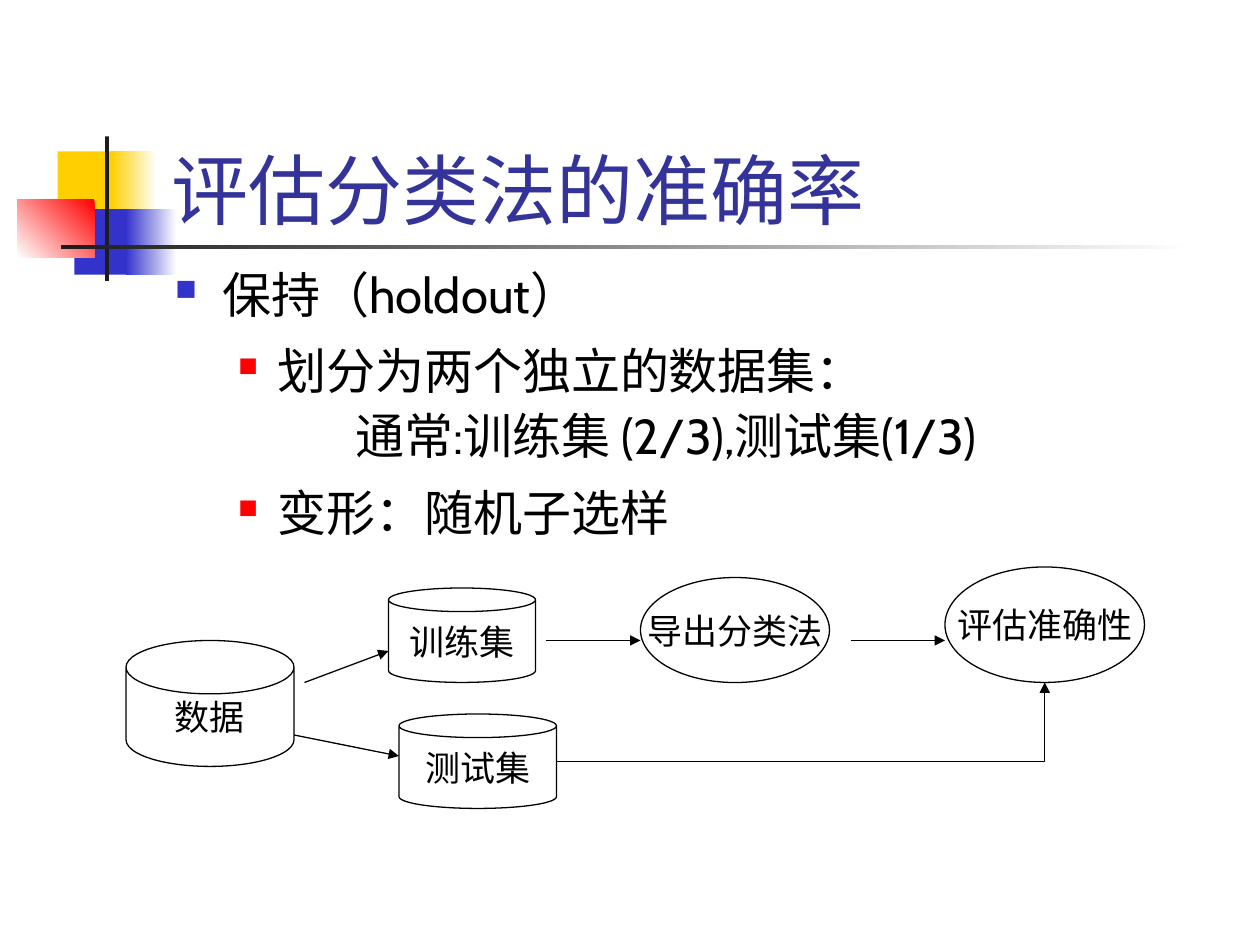
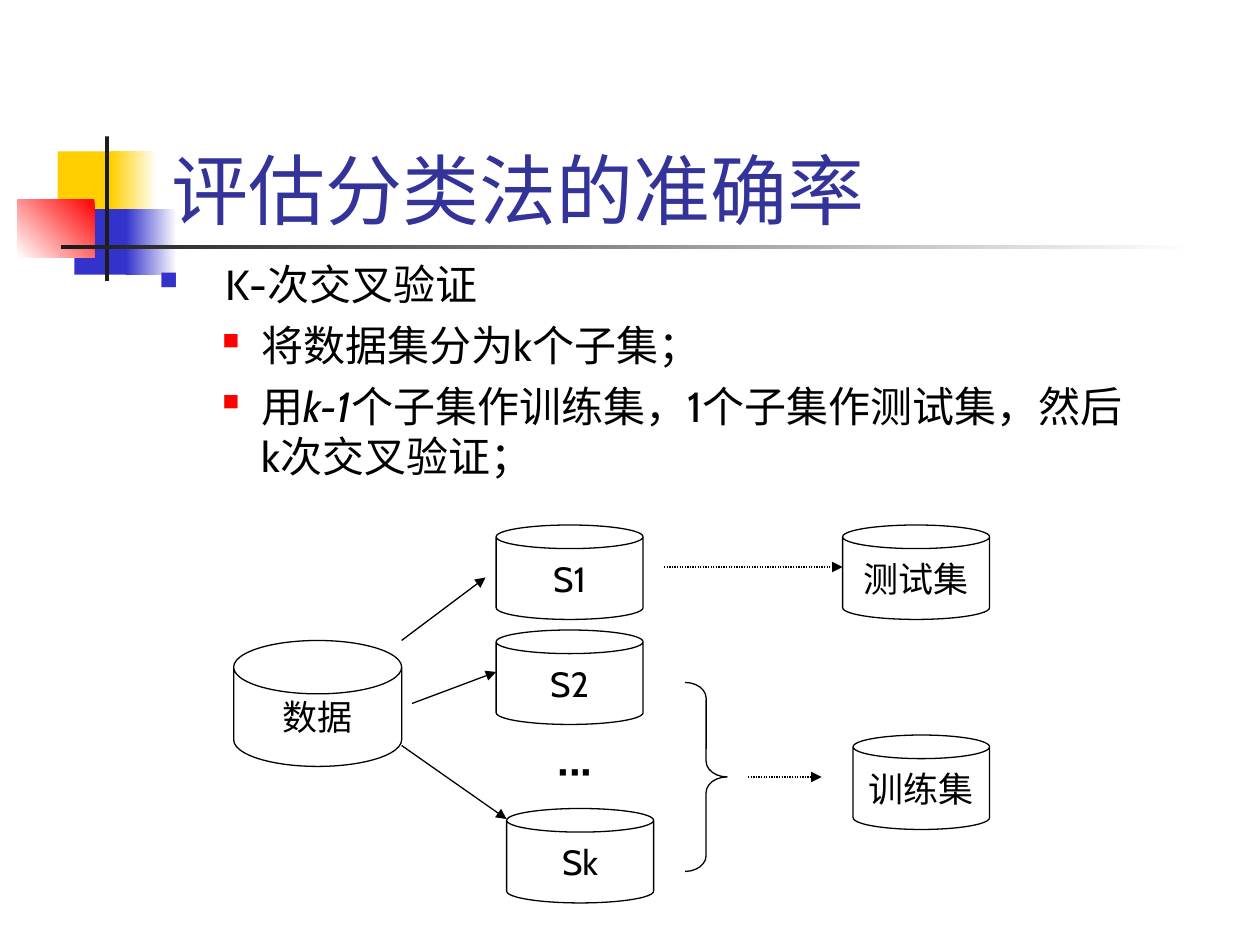
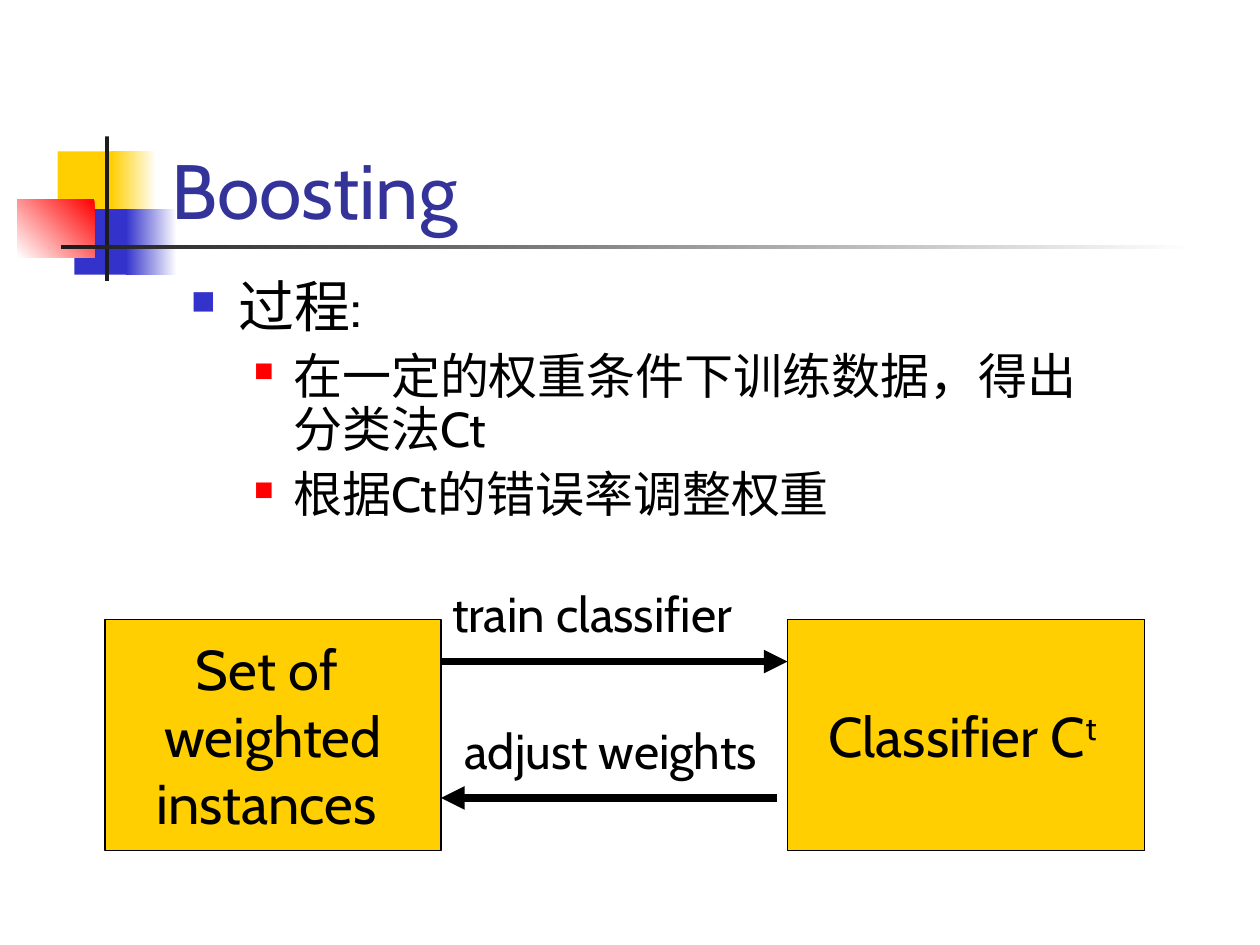
from collections import namedtuple

from lxml.etree import SubElement
from pptx import Presentation
from pptx.dml.color import RGBColor
from pptx.enum.dml import MSO_LINE
from pptx.enum.shapes import MSO_CONNECTOR as LINK, MSO_SHAPE as SHAPE
from pptx.enum.text import MSO_ANCHOR as ANCHOR, PP_ALIGN as ALIGN
from pptx.oxml.ns import qn
from pptx.util import Pt

FONT = "Cabin"
WHITE = RGBColor(0xFF, 0xFF, 0xFF)
BLACK = RGBColor(0x00, 0x00, 0x00)
CHARCOAL = RGBColor(0x1C, 0x1C, 0x1C)
YELLOW = RGBColor(0xFF, 0xCF, 0x01)
BLUE = RGBColor(0x33, 0x33, 0xCC)
RED = RGBColor(0xFF, 0x00, 0x00)
TITLE_BLUE = RGBColor(0x33, 0x33, 0x99)

DECORATION = [
    ((33, 86.5, 34.5, 37.5), YELLOW),
    ((63.5, 86.5, 26, 37.5), (WHITE, YELLOW, 180)),
    ((42.5, 119.5, 33, 37.5), BLUE),
    ((72, 119.5, 29, 37.5), (WHITE, BLUE, 180)),
    ((10, 114, 44, 33), (RED, WHITE, 225)),
    ((60, 78, 2.25, 82.5), CHARCOAL),
    ((34.75, 140.25, 648, 2.25), (WHITE, CHARCOAL, 180)),
]

Level = namedtuple("Level", "depth margin indent bullet_color bullet_percent")
HEAD = Level(0, 27, -27, BLUE, 60)
WIDE_HEAD = Level(0, 38, -38, BLUE, 60)
ITEM = Level(1, 58.5, -22.5, RED, 55)
CONTINUED = Level(1, 103, 0, None, None)


def points(values):
    return [Pt(value) for value in values]


def write_spans(para, content, size, color=BLACK):
    if isinstance(content, str):
        content = [(content, "")]
    for text, style in content:
        span = para.add_run()
        span.text = text
        span.font.name = FONT
        span.font.size = Pt(size)
        span.font.color.rgb = color
        if style == "italic":
            span.font.italic = True
        if style == "superscript":
            span._r.get_or_add_rPr().set("baseline", "30000")


def add_text(page, frame, content, size, color=BLACK, anchor=ANCHOR.TOP):
    box = page.shapes.add_textbox(*points(frame))
    box.text_frame.word_wrap = True
    box.text_frame.vertical_anchor = anchor
    write_spans(box.text_frame.paragraphs[0], content, size, color)


def set_bullet(para, level):
    props = para._p.get_or_add_pPr()
    props.set("marL", str(Pt(level.margin)))
    props.set("indent", str(Pt(level.indent)))
    if level.bullet_color is None:
        SubElement(props, qn("a:buNone"))
        return
    color = SubElement(props, qn("a:buClr"))
    SubElement(color, qn("a:srgbClr"), val=str(level.bullet_color))
    SubElement(props, qn("a:buSzPct"), val=str(level.bullet_percent * 1000))
    SubElement(props, qn("a:buChar"), char="■")


def add_body(page, frame, lines, head_size, item_size, spacing):
    text_frame = page.shapes.add_textbox(*points(frame)).text_frame
    text_frame.word_wrap = True
    for index, (level, content) in enumerate(lines):
        para = text_frame.add_paragraph() if index else text_frame.paragraphs[0]
        size = item_size if level.depth else head_size
        para.level = level.depth
        para.line_spacing = spacing
        para.space_before = Pt(0 if level is CONTINUED else size / 4)
        set_bullet(para, level)
        write_spans(para, content, size)


def add_shape(page, kind, frame, fill=None, line=None, adjust=None):
    shape = page.shapes.add_shape(kind, *points(frame))
    shape.shadow.inherit = False
    if fill is None:
        shape.fill.background()
    elif isinstance(fill, RGBColor):
        shape.fill.solid()
        shape.fill.fore_color.rgb = fill
    else:
        start, end, angle = fill
        shape.fill.gradient()
        shape.fill.gradient_angle = angle
        for stop, color in zip(shape.fill.gradient_stops, (start, end)):
            stop.color.rgb = color
    if line is None:
        shape.line.fill.background()
    else:
        shape.line.color.rgb = line
        shape.line.width = Pt(0.75)
    if adjust is not None:
        shape.adjustments[0] = adjust
    return shape


def add_node(page, kind, frame, lines, size=20, fill=WHITE, line=BLACK, adjust=None):
    text_frame = add_shape(page, kind, frame, fill, line, adjust).text_frame
    text_frame.word_wrap = False
    text_frame.vertical_anchor = ANCHOR.MIDDLE
    for index, content in enumerate(lines):
        para = text_frame.add_paragraph() if index else text_frame.paragraphs[0]
        para.alignment = ALIGN.CENTER
        write_spans(para, content, size)


def add_can(page, frame, label):
    add_node(page, SHAPE.CAN, frame, [label], adjust=0.25)


def add_data_can(page, left):
    add_node(page, SHAPE.CAN, (left, 366, 96, 72), ["数据"], adjust=0.424)


def add_arrow(page, start, end, width=0.75, dotted=False, kind=LINK.STRAIGHT):
    arrow = page.shapes.add_connector(kind, *points((*start, *end)))
    arrow.line.color.rgb = BLACK
    arrow.line.width = Pt(width)
    if dotted:
        arrow.line.dash_style = MSO_LINE.ROUND_DOT
    SubElement(arrow.line._get_or_add_ln(), qn("a:tailEnd"), type="triangle")
    props = arrow._element.spPr
    SubElement(props, qn("a:effectLst"))
    if kind == LINK.ELBOW:
        props.find(qn("a:prstGeom")).set("prst", "bentConnector2")


def add_page(deck, title):
    page = deck.slides.add_slide(deck.slide_layouts[6])
    for frame, fill in DECORATION:
        add_shape(page, SHAPE.RECTANGLE, frame, fill)
    add_text(page, (90.75, 48, 613.5, 90), title, 44, TITLE_BLUE, ANCHOR.BOTTOM)
    return page


def build_holdout(deck):
    page = add_page(deck, "评估分类法的准确率")
    add_body(page, (93, 144, 561, 180), [
        (HEAD, "保持（holdout）"),
        (ITEM, "划分为两个独立的数据集："),
        (CONTINUED, "通常:训练集 (2/3),测试集(1/3)"),
        (ITEM, "变形：随机子选样"),
    ], 28, 28, 1.1)
    add_data_can(page, 72)
    add_can(page, (222, 336, 84, 54), "训练集")
    add_can(page, (228, 408, 90, 54), "测试集")
    add_node(page, SHAPE.OVAL, (366, 330, 108, 60), ["导出分类法"])
    add_node(page, SHAPE.OVAL, (540, 324, 114, 66), ["评估准确性"])
    for start, end in [((174, 390), (222, 372)), ((168, 420), (228, 432)),
                       ((312, 366), (366, 366)), ((486, 366), (540, 366))]:
        add_arrow(page, start, end)
    add_arrow(page, (318, 435), (597, 390), kind=LINK.ELBOW)


def build_cross_validation(deck):
    page = add_page(deck, "评估分类法的准确率")
    add_body(page, (84, 144, 570, 144), [
        (WIDE_HEAD, "K-次交叉验证"),
        (ITEM, "将数据集分为k个子集；"),
        (ITEM, [("用", ""), ("k-1", "italic"),
                ("个子集作训练集，1个子集作测试集，然后k次交叉验证；", "")]),
    ], 24, 24, 1.0)
    add_data_can(page, 133.5)
    for left, top, width, label in [
        (283.5, 300, 84, "S1"), (283.5, 360, 84, "S2"), (289.5, 462, 84, "Sk"),
        (481.5, 300, 84, "测试集"), (487.5, 420, 78, "训练集"),
    ]:
        add_can(page, (left, top, width, 54), label)
    add_node(page, SHAPE.RECTANGLE, (301.5, 420, 54, 36), ["···"], 28, line=WHITE)
    add_shape(page, SHAPE.RIGHT_BRACE, (391.5, 390, 24, 108), line=BLACK, adjust=0.375)
    for start, end in [((229.5, 366), (277.5, 330)), ((235.5, 402), (283.5, 384)),
                       ((229.5, 426), (289.5, 468))]:
        add_arrow(page, start, end)
    add_arrow(page, (379.5, 324), (481.5, 324), dotted=True)
    add_arrow(page, (427.5, 444), (469.5, 444), dotted=True)


def build_boosting(deck):
    page = add_page(deck, "Boosting")
    add_body(page, (102, 156, 528, 156), [
        (HEAD, "过程:"),
        (ITEM, "在一定的权重条件下训练数据，得出分类法Ct"),
        (ITEM, "根据Ct的错误率调整权重"),
    ], 32, 28, 0.9)
    add_node(page, SHAPE.RECTANGLE, (60, 354, 192, 132),
             ["Set of ", "weighted", "instances "], 32, YELLOW)
    add_node(page, SHAPE.RECTANGLE, (450, 354, 204, 132),
             [[("Classifier C", ""), ("t ", "superscript")]], 32, YELLOW)
    add_arrow(page, (252, 378), (450, 378), width=4.5)
    add_text(page, (251.25, 330, 198, 41), "train classifier", 28)
    add_arrow(page, (444, 456), (252, 456), width=4.5)
    add_text(page, (252, 408, 240, 75), " adjust weights", 28)


def main():
    deck = Presentation()
    deck.slide_width, deck.slide_height = Pt(720), Pt(540)
    build_holdout(deck)
    build_cross_validation(deck)
    build_boosting(deck)
    deck.save("out.pptx")


if __name__ == "__main__":
    main()
